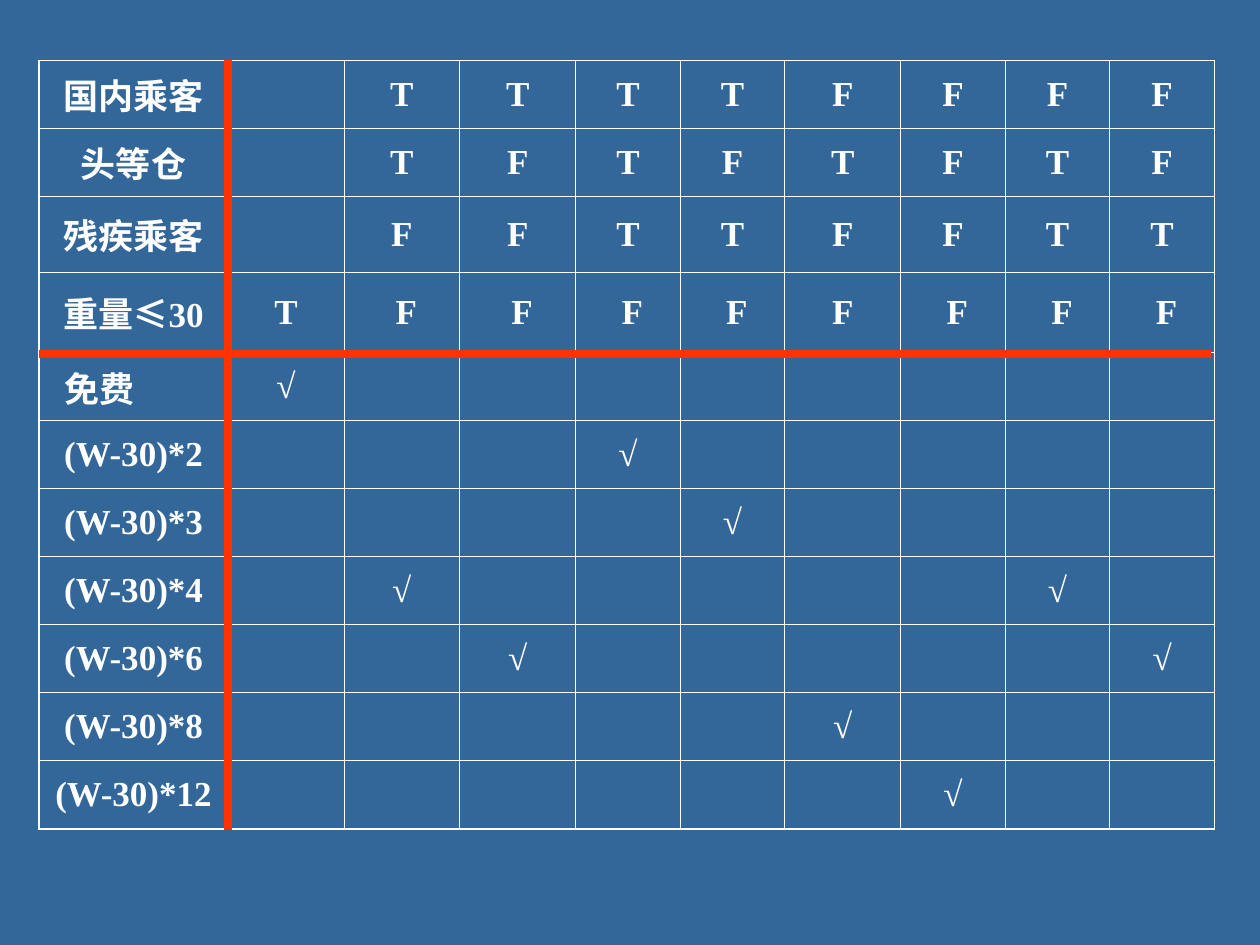
from lxml import etree
from pptx import Presentation
from pptx import util as u
from pptx.dml.color import RGBColor
from pptx.enum import shapes, text
from pptx.oxml import ns

BLUE = RGBColor(0x33, 0x66, 0x99)
WHITE = RGBColor(0xFF, 0xFF, 0xFF)
RED = RGBColor(0xFF, 0x33, 0x00)
SERIF, SANS = "Times New Roman", "Arial"
THIN, THICK = 0.45, 1.08
PAD, NUDGE = 0.1, 0.07

CONDITIONS = [
    ([("国内乘客", SERIF)], " TTTTFFFF"),
    ([("头等仓", SERIF)], " TFTFTFTF"),
    ([("残疾乘客", SERIF)], " FFTTFFTT"),
    ([("重量", SERIF), ("≤", SANS), ("30", SERIF)], "TFFFFFFFF"),
]
ACTIONS = [
    ("免费", [1]),
    ("(W-30)*2", [4]),
    ("(W-30)*3", [5]),
    ("(W-30)*4", [2, 8]),
    ("(W-30)*6", [3, 9]),
    ("(W-30)*8", [6]),
    ("(W-30)*12", [7]),
]
LEFT, TOP = 0.31, 0.48
WIDTHS = [1.5, 0.92, 0.92, 0.92, 0.83, 0.83, 0.92, 0.83, 0.83, 0.83]
HEIGHTS = [0.54, 0.54, 0.6, 0.64] + [0.54] * len(ACTIONS)
WEIGHT_ROW = len(CONDITIONS) - 1
FREE_ROW = len(CONDITIONS)


def write(cell, runs, align=text.PP_ALIGN.CENTER, left=PAD):
    cell.vertical_anchor = text.MSO_ANCHOR.MIDDLE
    cell.margin_left = u.Inches(left)
    para = cell.text_frame.paragraphs[0]
    para.alignment = align
    for words, font in runs:
        span = para.add_run()
        span.text = words
        span.font.name = font
        span.font.size = u.Pt(20)
        span.font.bold = True
        span.font.color.rgb = WHITE


def set_borders(cell, outer):
    properties = cell._tc.get_or_add_tcPr()
    for side in "LRTB":
        width = THICK if side in outer else THIN
        line = etree.SubElement(properties, ns.qn(f"a:ln{side}"), w=str(u.Pt(width)))
        fill = etree.SubElement(line, ns.qn("a:solidFill"))
        etree.SubElement(fill, ns.qn("a:srgbClr"), val=str(WHITE))


def draw_divider(slide, x1, y1, x2, y2):
    line = slide.shapes.add_connector(
        shapes.MSO_CONNECTOR.STRAIGHT, *map(u.Inches, (x1, y1, x2, y2)))
    line.line.color.rgb = RED
    line.line.width = u.Pt(4.5)
    etree.SubElement(line._element.spPr, ns.qn("a:effectLst"))


def build_table(slide):
    last_row, last_column = len(HEIGHTS) - 1, len(WIDTHS) - 1
    table = slide.shapes.add_table(
        len(HEIGHTS), len(WIDTHS), u.Inches(LEFT), u.Inches(TOP),
        u.Inches(sum(WIDTHS)), u.Inches(sum(HEIGHTS))).table
    table.first_row = table.horz_banding = False
    for column, width in zip(table.columns, WIDTHS):
        column.width = u.Inches(width)
    for row, height in zip(table.rows, HEIGHTS):
        row.height = u.Inches(height)

    for r in range(len(HEIGHTS)):
        for c in range(len(WIDTHS)):
            edges = {"L": c == 0, "R": c == last_column, "T": r == 0, "B": r == last_row}
            cell = table.cell(r, c)
            set_borders(cell, [side for side, outer in edges.items() if outer])
            cell.fill.background()

    for r, (label, values) in enumerate(CONDITIONS):
        write(table.cell(r, 0), label)
        for c, value in enumerate(values, 1):
            if value.strip():
                shifted = r == WEIGHT_ROW and c not in (1, 6)
                write(table.cell(r, c), [(value, SERIF)],
                      left=PAD + NUDGE if shifted else PAD)

    for r, (label, rules) in enumerate(ACTIONS, FREE_ROW):
        if r == FREE_ROW:
            write(table.cell(r, 0), [(label, SERIF)], text.PP_ALIGN.LEFT, 2 * PAD)
        else:
            write(table.cell(r, 0), [(label, SERIF)])
        for c in rules:
            write(table.cell(r, c), [("√", SERIF)])


def main():
    deck = Presentation()
    deck.slide_width, deck.slide_height = u.Inches(10), u.Inches(7.5)
    page = deck.slides.add_slide(deck.slide_layouts[6])
    page.background.fill.solid()
    page.background.fill.fore_color.rgb = BLUE
    build_table(page)
    split_x = LEFT + WIDTHS[0]
    split_y = TOP + sum(HEIGHTS[:FREE_ROW]) + 0.01
    draw_divider(page, LEFT, split_y, 9.61, split_y)
    draw_divider(page, split_x, TOP, split_x, 6.59)
    deck.save("out.pptx")


if __name__ == "__main__":
    main()
